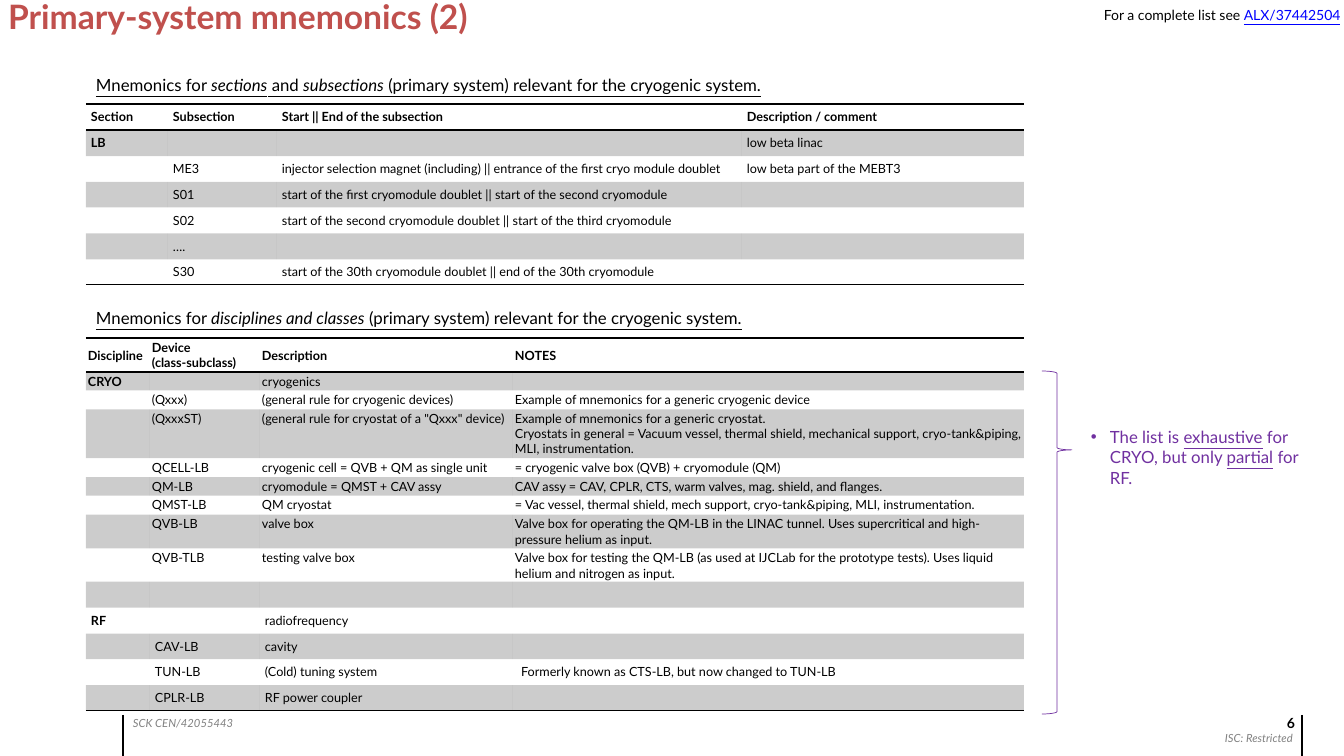
from lxml import etree
from pptx import Presentation
from pptx.dml.color import RGBColor
from pptx.enum.shapes import MSO_CONNECTOR, MSO_SHAPE
from pptx.enum.text import MSO_ANCHOR, MSO_AUTO_SIZE, PP_ALIGN
from pptx.oxml.ns import qn
from pptx.util import Emu, Pt

LEFT, RIGHT = PP_ALIGN.LEFT, PP_ALIGN.RIGHT
TOP, MIDDLE = MSO_ANCHOR.TOP, MSO_ANCHOR.MIDDLE
NO_FIT = MSO_AUTO_SIZE.NONE
STRAIGHT = MSO_CONNECTOR.STRAIGHT
RIGHT_BRACE = MSO_SHAPE.RIGHT_BRACE

PAGE_WIDTH, PAGE_HEIGHT = 1344, 756
EMU_PER_PX = 12192000 / PAGE_WIDTH
FONT = "Lato"
COLORS = {"black": "000000", "title": "C0504D", "note": "7030A0",
          "link": "0000FF", "footer": "808080"}
PLAIN_TABLE = "{2D5ABB26-0587-4C30-8999-92F81FD0307C}"
TEXT_INSETS = (10, 5, 10, 5)
LOOSE_INSETS = (5, 5, 5, 5)
TIGHT_INSETS = (2, 2, 1, 1)

SECTIONS = [
    ("Section", "Subsection", "Start || End of the subsection", "Description / comment"),
    ("LB", "", "", "low beta linac"),
    ("", "ME3", "injector selection magnet (including) || entrance of the first "
     "cryo module doublet", "low beta part of the MEBT3"),
    ("", "S01", "start of the first cryomodule doublet || start of the second cryomodule", ""),
    ("", "S02", "start of the second cryomodule doublet || start of the third cryomodule", ""),
    ("", "….", "", ""),
    ("", "S30", "start of the 30th cryomodule doublet || end of the 30th cryomodule", ""),
]
CLASSES = [
    ("Discipline", "Device\n(class-subclass)", "Description", "NOTES"),
    ("CRYO", "", "cryogenics", ""),
    ("", "(Qxxx)", "(general rule for cryogenic devices)",
     "Example of mnemonics for a generic cryogenic device"),
    ("", "(QxxxST)", '(general rule for cryostat of a "Qxxx" device)',
     "Example of mnemonics for a generic cryostat.\nCryostats in general = Vacuum vessel, "
     "thermal shield, mechanical support, cryo-tank&piping, MLI, instrumentation."),
    ("", "QCELL-LB", "cryogenic cell = QVB + QM as single unit",
     "= cryogenic valve box (QVB) + cryomodule (QM)"),
    ("", "QM-LB", "cryomodule = QMST + CAV assy",
     "CAV assy = CAV, CPLR, CTS, warm valves, mag. shield, and flanges."),
    ("", "QMST-LB", "QM cryostat", "= Vac vessel, thermal shield, mech support, "
     "cryo-tank&piping, MLI, instrumentation."),
    ("", "QVB-LB", "valve box", "Valve box for operating the QM-LB in the LINAC tunnel. "
     "Uses supercritical and high-pressure helium as input."),
    ("", "QVB-TLB", "testing valve box", "Valve box for testing the QM-LB (as used at IJCLab "
     "for the prototype tests). Uses liquid helium and nitrogen as input."),
    ("", "", "", ""),
    ("RF", "", "radiofrequency", ""),
    ("", "CAV-LB", "cavity", ""),
    ("", "TUN-LB", "(Cold) tuning system",
     " Formerly known as CTS-LB, but now changed to TUN-LB"),
    ("", "CPLR-LB", "RF power coupler", ""),
]


def px(length):
    return Emu(round(length * EMU_PER_PX))


def rgb(color):
    return RGBColor.from_string(COLORS[color])


def set_insets(target, insets):
    (target.margin_left, target.margin_top,
     target.margin_right, target.margin_bottom) = map(px, insets)


class SlideBuilder:
    def __init__(self, deck):
        self.page = deck.slides.add_slide(deck.slide_layouts[1])

    def add_spans(self, para, spans, size, color="black"):
        """Add (text, flags) spans; flags are b, i, u for styles and l for link colour."""
        for text, flags in spans:
            for index, line in enumerate(text.split("\n")):
                if index:
                    para.add_line_break()
                span = para.add_run()
                span.text = line
                font = span.font
                font.name, font.size = FONT, Pt(size)
                font.bold, font.italic = "b" in flags, "i" in flags
                font.underline = "u" in flags
                font.color.rgb = rgb("link" if "l" in flags else color)

    def place(self, box, area, insets, wrap=True):
        """Move a text shape, set up its frame and return the first paragraph."""
        box.left, box.top, box.width, box.height = map(px, area)
        frame = box.text_frame
        frame.word_wrap, frame.auto_size = wrap, NO_FIT
        frame.vertical_anchor = TOP
        set_insets(frame, insets)
        para = frame.paragraphs[0]
        para.alignment, para.space_before = LEFT, Pt(0)
        return para

    def title(self, area, text):
        para = self.place(self.page.shapes.title, area, (0, 0, 0, 0))
        para.line_spacing = 0.9
        self.add_spans(para, [(text, "b")], 24, "title")

    def bullet(self, area, spans):
        para = self.place(self.page.placeholders[1], area, TEXT_INSETS)
        props = para._p.get_or_add_pPr()
        props.set("marL", str(px(19)))
        props.set("indent", str(-px(19)))
        etree.SubElement(props, qn("a:buChar"), char="•")
        self.add_spans(para, spans, 12, "note")

    def text(self, area, spans, size, color="black", align=LEFT,
             insets=TEXT_INSETS, wrap=True):
        box = self.page.shapes.add_textbox(0, 0, 0, 0)
        para = self.place(box, area, insets, wrap)
        para.alignment = align
        self.add_spans(para, spans, size, color)

    def vertical_rule(self, x, top, bottom):
        rule = self.page.shapes.add_connector(STRAIGHT, px(x), px(top), px(x), px(bottom))
        rule.line.color.rgb, rule.line.width = rgb("black"), Pt(1)
        etree.SubElement(rule._element.spPr, qn("a:effectLst"))

    def brace(self, area):
        brace = self.page.shapes.add_shape(RIGHT_BRACE, *map(px, area))
        brace.shadow.inherit = False
        brace.fill.background()
        brace.line.color.rgb, brace.line.width = rgb("note"), Pt(0.5)
        brace.adjustments[0], brace.adjustments[1] = 0.08, 0.23

    def border(self, cell, side):
        line = etree.SubElement(cell._tc.get_or_add_tcPr(), qn("a:" + side), w=str(Pt(1)))
        fill = etree.SubElement(line, qn("a:solidFill"))
        etree.SubElement(fill, qn("a:srgbClr"), val=COLORS["black"])

    def shade(self, cell):
        cell.fill.solid()
        cell.fill.fore_color.rgb = rgb("black")
        color = cell._tc.tcPr.find(qn("a:solidFill") + "/" + qn("a:srgbClr"))
        etree.SubElement(color, qn("a:alpha"), val="20000")

    def table(self, left, top, widths, heights, rows, body_anchor, tight_rows=0):
        """Draw a ruled table with every second row shaded."""
        frame = self.page.shapes.add_table(len(rows), len(widths), px(left), px(top),
                                           px(sum(widths)), px(sum(heights)))
        table = frame.table
        table.horz_banding = False
        table._tbl.tblPr.find(qn("a:tableStyleId")).text = PLAIN_TABLE
        for column, width in zip(table.columns, widths):
            column.width = px(width)
        for r, (row, height) in enumerate(zip(rows, heights)):
            table.rows[r].height = px(height)
            for c, text in enumerate(row):
                cell = table.cell(r, c)
                set_insets(cell, TIGHT_INSETS if r < tight_rows else LOOSE_INSETS)
                cell.vertical_anchor = body_anchor if r else MIDDLE
                para = cell.text_frame.paragraphs[0]
                if text:
                    self.add_spans(para, [(text, "b" if r == 0 or c == 0 else "")], 9)
                else:
                    etree.SubElement(para._p, qn("a:endParaRPr"), sz="900")
                if r == 0:
                    self.border(cell, "lnT")
                if r in (0, len(rows) - 1):
                    self.border(cell, "lnB")
                if r % 2:
                    self.shade(cell)
                else:
                    cell.fill.background()


def main():
    deck = Presentation()
    deck.slide_width, deck.slide_height = px(PAGE_WIDTH), px(PAGE_HEIGHT)
    slide = SlideBuilder(deck)

    slide.title((8, 0, 541, 77), "Primary-system mnemonics (2)")
    slide.text((1094, 2, 250, 27), [("For a complete list see ", ""), ("ALX/37442504", "ul")],
               10, wrap=False)

    scope = (" (primary system) relevant for the cryogenic system.", "u")
    slide.text((86, 70, 938, 30), [("Mnemonics for ", "u"), ("sections", "iu"), (" and ", "u"),
                                   ("subsections", "iu"), scope], 12)
    slide.table(86, 104, [82, 109, 465, 282], [26, 26, 26, 25, 26, 26, 25], SECTIONS, MIDDLE)

    slide.text((86, 303, 680, 30), [("Mnemonics for ", "u"),
                                    ("disciplines and classes", "iu"), scope], 12)
    slide.table(86, 338, [64, 110, 253, 511],
                [34, 18, 19, 49, 19, 18, 19, 34, 33, 26, 26, 25, 26, 25],
                CLASSES, TOP, tight_rows=9)

    slide.brace((1042, 371, 30, 343))
    slide.bullet((1081, 422, 254, 72), [("The list is ", ""), ("exhaustive", "u"),
                                        (" for CRYO, but only ", ""), ("partial", "u"),
                                        (" for RF.", "")])

    for x in (123, 1302):
        slide.vertical_rule(x, 715, PAGE_HEIGHT)
    slide.text((123, 711, 158, 24), [("SCK CEN/42055443", "i")], 8, "footer")
    slide.text((1120, 726, 183, 24), [("ISC: Restricted", "i")], 8, "footer", RIGHT)
    slide.text((993, 715, 302, 25), [("6", "b")], 10, align=RIGHT, insets=(0, 0, 0, 0))
    deck.save("out.pptx")


if __name__ == "__main__":
    main()
